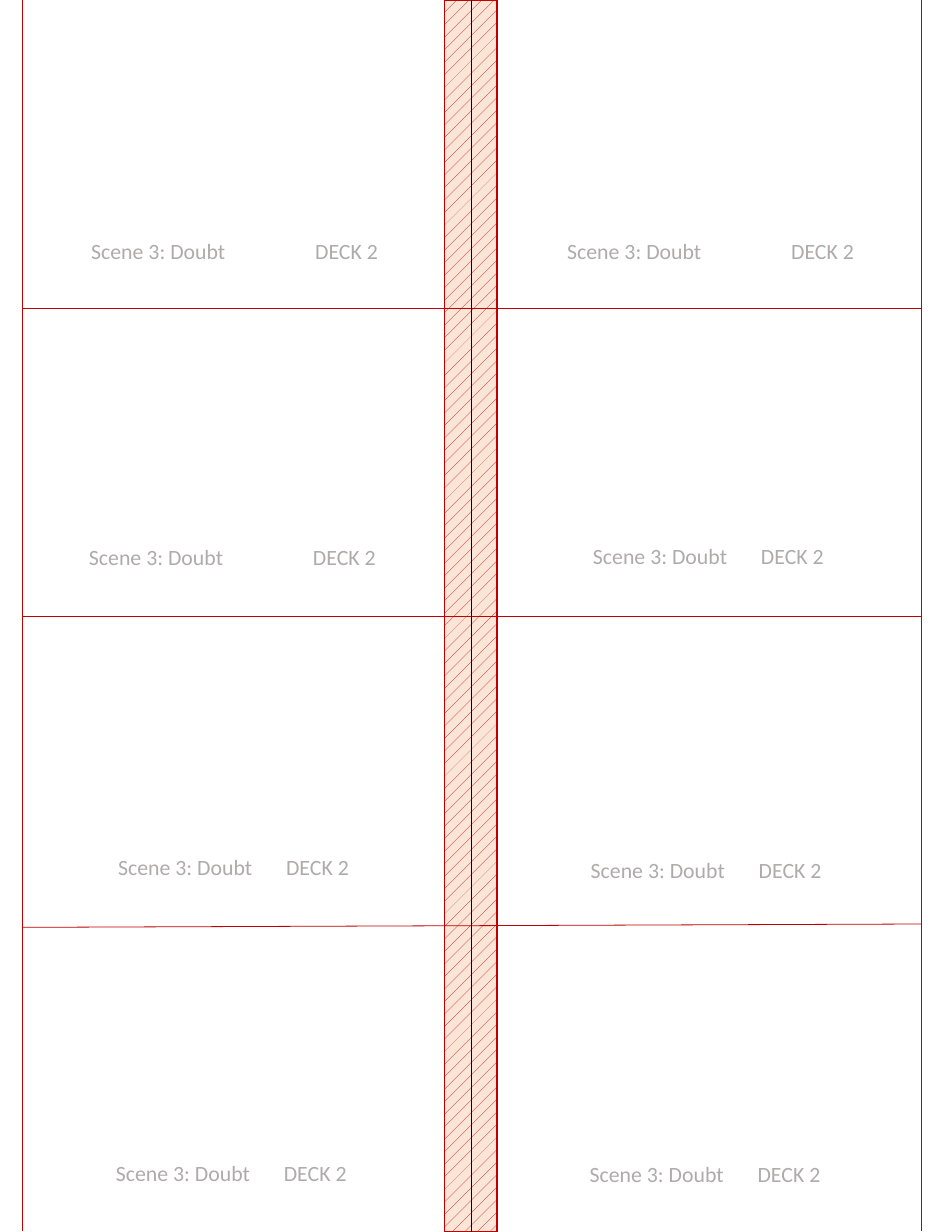
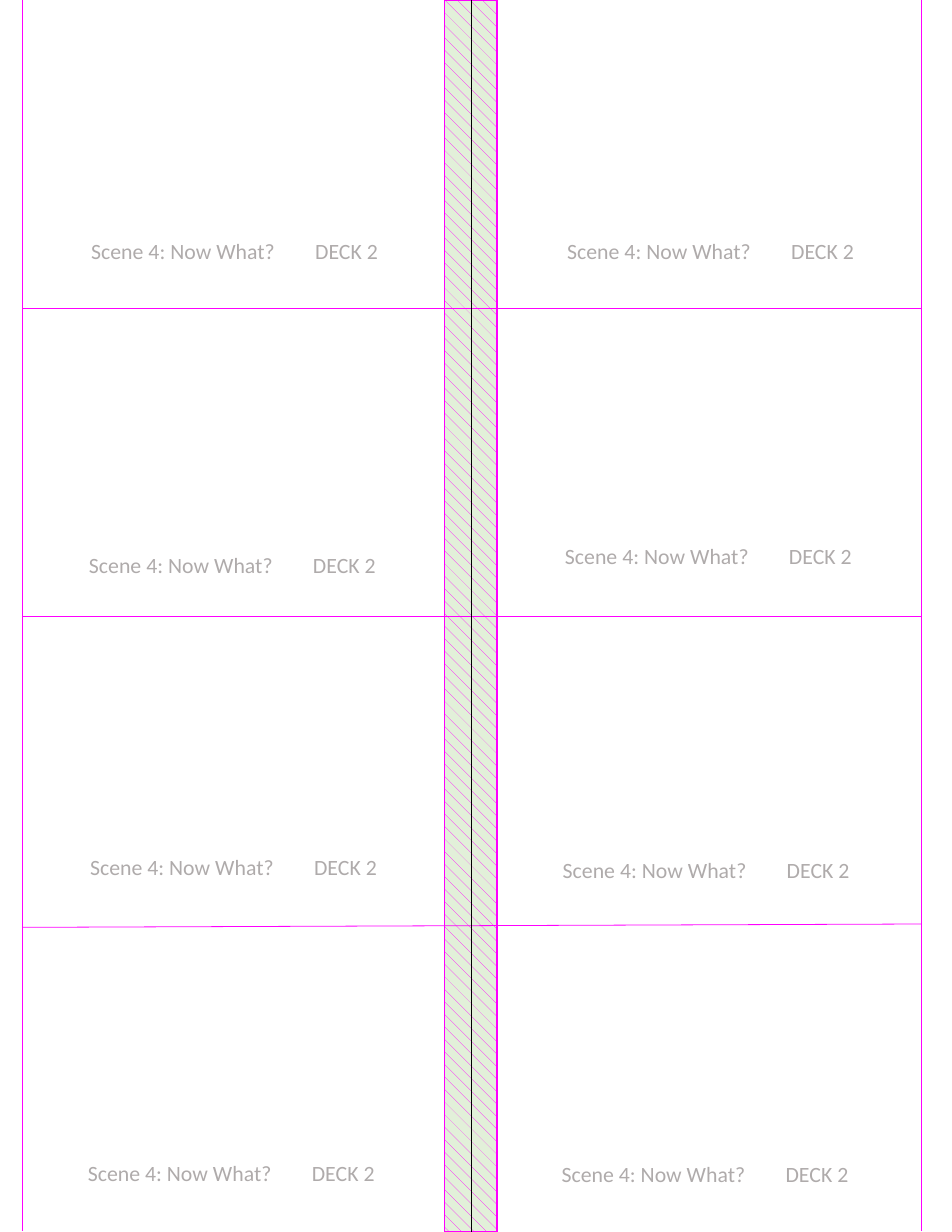
"""Build two sheets of scene cards, each with a patterned strip down the middle."""
from dataclasses import dataclass

from lxml.etree import SubElement
from pptx import Presentation
from pptx.dml.color import RGBColor
from pptx.enum.dml import MSO_PATTERN
from pptx.enum.shapes import MSO_CONNECTOR, MSO_SHAPE
from pptx.enum.text import MSO_ANCHOR, PP_ALIGN
from pptx.oxml.ns import qn
from pptx.util import Pt

PX = 9144


@dataclass(frozen=True)
class Theme:
    font: str = "Calibri"
    label_size: int = 14
    label_color: str = "AFABAB"
    center_color: str = "000000"
    strip_line: float = 1
    cut_line: float = 0.5


@dataclass(frozen=True)
class Scene:
    name: str
    accent: str
    tint: str
    pattern: MSO_PATTERN
    deck_tabs: tuple
    bottom_insets: tuple


THEME = Theme()
SHEET_WIDTH, SHEET_HEIGHT = 850, 1100
LEFT, RIGHT, BOTTOM = 20, 823, 1099
STRIP_LEFT, STRIP_WIDTH = 397, 47
CARD_WIDTH, CARD_HEIGHT = 367, 265
CUT_LINES = [
    (LEFT, 550, RIGHT, 550),
    (LEFT, 828, RIGHT, 825),
    (LEFT, 275, RIGHT, 275),
    (LEFT, 0, LEFT, BOTTOM),
    (RIGHT, 0, RIGHT, BOTTOM),
]
CARD_CORNERS = [
    (26, 7), (451, 7),
    (24, 280), (449, 279),
    (25, 557), (447, 559),
    (23, 830), (446, 831),
]
SCENES = [
    Scene("Scene 3: Doubt", "C00000", "FBE5D6", MSO_PATTERN.PERCENT_10,
          (200,) * 3 + (150,) * 5, (36,) * 8),
    Scene("Scene 4: Now What?", "FF00FF", "E2F0D9", MSO_PATTERN.SHINGLE,
          (200,) * 8, (36, 36, 29) + (36,) * 5),
]


def add_line(slide, start_x, start_y, end_x, end_y, color):
    connector = slide.shapes.add_connector(
        MSO_CONNECTOR.STRAIGHT, start_x * PX, start_y * PX, end_x * PX, end_y * PX)
    connector.line.color.rgb = RGBColor.from_string(color)
    connector.line.width = Pt(THEME.cut_line)
    SubElement(connector._element.spPr, qn("a:effectLst"))
    return connector


def add_card_label(slide, left, top, text, deck_tab, bottom_inset):
    box = slide.shapes.add_textbox(left * PX, top * PX, CARD_WIDTH * PX, CARD_HEIGHT * PX)
    frame = box.text_frame
    frame.word_wrap = True
    frame.vertical_anchor = MSO_ANCHOR.BOTTOM
    frame.margin_bottom = bottom_inset * PX
    frame.text = text
    paragraph = frame.paragraphs[0]
    paragraph.alignment = PP_ALIGN.CENTER
    tabs = SubElement(paragraph._p.get_or_add_pPr(), qn("a:tabLst"))
    SubElement(tabs, qn("a:tab"), pos=str(deck_tab * PX), algn="l")
    font = paragraph.runs[0].font
    font.name = THEME.font
    font.size = Pt(THEME.label_size)
    font.color.rgb = RGBColor.from_string(THEME.label_color)


presentation = Presentation()
presentation.slide_width = SHEET_WIDTH * PX
presentation.slide_height = SHEET_HEIGHT * PX

for scene in SCENES:
    slide = presentation.slides.add_slide(presentation.slide_layouts[6])

    strip = slide.shapes.add_shape(
        MSO_SHAPE.RECTANGLE, STRIP_LEFT * PX, 0, STRIP_WIDTH * PX, SHEET_HEIGHT * PX)
    strip.shadow.inherit = False
    strip.fill.patterned()
    strip.fill.pattern = scene.pattern
    strip.fill.fore_color.rgb = RGBColor.from_string(scene.accent)
    strip.fill.back_color.rgb = RGBColor.from_string(scene.tint)
    strip.line.color.rgb = RGBColor.from_string(scene.accent)
    strip.line.width = Pt(THEME.strip_line)

    for cut_line in CUT_LINES:
        add_line(slide, *cut_line, scene.accent)

    center_x = STRIP_LEFT + STRIP_WIDTH // 2
    center_line = add_line(slide, center_x, 0, center_x, SHEET_HEIGHT, THEME.center_color)
    center_line.begin_connect(strip, 0)
    center_line.end_connect(strip, 2)

    cards = zip(CARD_CORNERS, scene.deck_tabs, scene.bottom_insets)
    for (left, top), deck_tab, bottom_inset in cards:
        add_card_label(slide, left, top, f"{scene.name}\tDECK 2", deck_tab, bottom_inset)

presentation.save("out.pptx")
